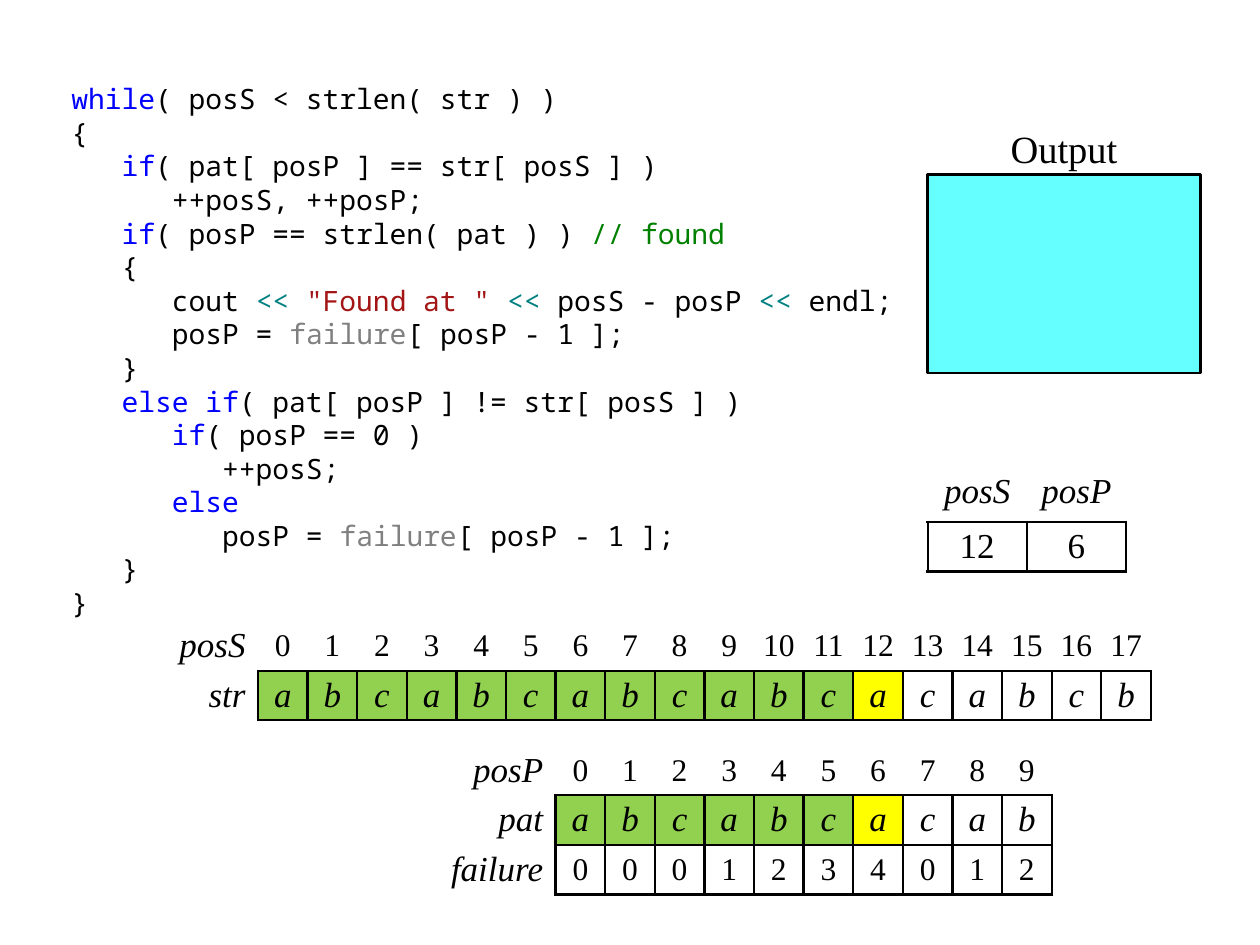
from dataclasses import dataclass

from lxml import etree
from pptx import Presentation
from pptx.dml.color import RGBColor
from pptx.enum.shapes import MSO_SHAPE
from pptx.enum.text import MSO_ANCHOR, MSO_AUTO_SIZE, PP_ALIGN
from pptx.oxml.ns import qn
from pptx.util import Pt

RECT = MSO_SHAPE.RECTANGLE
TOP, MIDDLE = MSO_ANCHOR.TOP, MSO_ANCHOR.MIDDLE
NO_FIT = MSO_AUTO_SIZE.NONE
LEFT, CENTER, RIGHT = PP_ALIGN.LEFT, PP_ALIGN.CENTER, PP_ALIGN.RIGHT

PX = 3600
CELL = 100
SERIF, MONO = "Times New Roman", "Noto Sans Mono"
PLAIN_STYLE = "{2D5ABB26-0587-4C30-8999-92F81FD0307C}"

BLACK, GREEN, YELLOW, CYAN = "000000", "92D050", "FFFF00", "66FFFF"
KEYWORD, COMMENT, OPERATOR = "0000FF", "008000", "008080"
STRING, PARAM = "A31515", "808080"

SHIFT = ("<< ", OPERATOR)
FAILURE = [("failure", PARAM), ("[ posP - 1 ];", BLACK)]
CODE = [
    [("while", KEYWORD), ("( posS < strlen( str ) )", BLACK)],
    [("{", BLACK)],
    [("   ", BLACK), ("if", KEYWORD), ("( pat[ posP ] == str[ posS ] )", BLACK)],
    [("      ++posS, ++posP;", BLACK)],
    [("   ", BLACK), ("if", KEYWORD), ("( posP == strlen( pat ) ) ", BLACK),
     ("// found", COMMENT)],
    [("   {", BLACK)],
    [("      cout ", BLACK), SHIFT, ('"Found at " ', STRING), SHIFT,
     ("posS - posP ", BLACK), SHIFT, ("endl;", BLACK)],
    [("      posP = ", BLACK), *FAILURE],
    [("   }", BLACK)],
    [("   ", BLACK), ("else if", KEYWORD), ("( pat[ posP ] != str[ posS ] )", BLACK)],
    [("      ", BLACK), ("if", KEYWORD), ("( posP == 0 )", BLACK)],
    [("         ++posS;", BLACK)],
    [("      ", BLACK), ("else", KEYWORD)],
    [("         posP = ", BLACK), *FAILURE],
    [("   }", BLACK)],
    [("}", BLACK)],
]


@dataclass
class Cell:
    text: str
    size: int = 20
    italic: bool = True
    align: PP_ALIGN = CENTER
    anchor: MSO_ANCHOR = MIDDLE
    inset: int = 10
    fill: str | None = None
    border: bool = False


@dataclass
class Grid:
    left: int
    top: int
    widths: list[int]
    rows: list[list[Cell]]


def px(n: int) -> int:
    return n * PX


def rgb(color: str) -> RGBColor:
    return RGBColor.from_string(color)


def add_run(p, text: str, font: str, size: int, color: str = BLACK,
            italic: bool = False) -> None:
    r = p.add_run()
    r.text = text
    r.font.name = font
    r.font.size = Pt(size)
    r.font.italic = italic
    r.font.color.rgb = rgb(color)


def add_borders(cell) -> None:
    tc_pr = cell._tc.get_or_add_tcPr()
    for side in "LRTB":
        ln = etree.SubElement(tc_pr, qn(f"a:ln{side}"), w=str(Pt(1.5)))
        fill = etree.SubElement(ln, qn("a:solidFill"))
        etree.SubElement(fill, qn("a:srgbClr"), val=BLACK)


def draw_cell(cell, data: Cell) -> None:
    cell.margin_left = cell.margin_right = px(data.inset)
    cell.margin_top = cell.margin_bottom = 0
    cell.vertical_anchor = data.anchor
    if data.border:
        add_borders(cell)
    if data.fill:
        cell.fill.solid()
        cell.fill.fore_color.rgb = rgb(data.fill)
    else:
        cell.fill.background()
    p = cell.text_frame.paragraphs[0]
    p.alignment = data.align
    add_run(p, data.text, SERIF, data.size, italic=data.italic)


def draw_grid(slide, grid: Grid) -> None:
    frame = slide.shapes.add_table(
        len(grid.rows), len(grid.widths), px(grid.left), px(grid.top),
        px(sum(grid.widths)), px(CELL * len(grid.rows)))
    frame.element.xpath(".//a:tableStyleId")[0].text = PLAIN_STYLE
    table = frame.table
    table.first_row = table.horz_banding = False
    for column, width in zip(table.columns, grid.widths):
        column.width = px(width)
    for i, row in enumerate(grid.rows):
        table.rows[i].height = px(CELL)
        for j, data in enumerate(row):
            draw_cell(table.cell(i, j), data)


def label(text: str) -> Cell:
    return Cell(text, align=RIGHT, inset=25)


def index_row(name: str, count: int) -> list[Cell]:
    return [label(name)] + [Cell(str(i), 18, False) for i in range(count)]


def letter_row(name: str, letters: str, current: int) -> list[Cell]:
    fills = [GREEN] * current + [YELLOW] + [None] * (len(letters) - current - 1)
    return [label(name)] + [
        Cell(c, fill=fill, border=True) for c, fill in zip(letters, fills)]


def number_row(name: str, digits: str) -> list[Cell]:
    return [label(name)] + [Cell(d, 18, False, border=True) for d in digits]


def draw_code(body) -> None:
    body.left, body.top, body.width, body.height = map(px, (119, 152, 1700, 1100))
    tf = body.text_frame
    tf.word_wrap = True
    tf.auto_size = NO_FIT
    tf.vertical_anchor = TOP
    tf.margin_left, tf.margin_right = px(25), px(10)
    tf.margin_top = tf.margin_bottom = px(13)
    for i, line in enumerate(CODE):
        p = tf.add_paragraph() if i else tf.paragraphs[0]
        p_pr = p._p.get_or_add_pPr()
        p_pr.set("marL", "0")
        p_pr.set("indent", "0")
        etree.SubElement(p_pr, qn("a:buNone"))
        p.alignment = LEFT
        p.line_spacing = Pt(19.2)
        p.space_before = p.space_after = Pt(0)
        for text, color in line:
            add_run(p, text, MONO, 16, color)


def draw_output(slide) -> None:
    sp = slide.shapes.add_shape(RECT, px(1870), px(352), px(550), px(400))
    sp.shadow.inherit = False
    sp.fill.solid()
    sp.fill.fore_color.rgb = rgb(CYAN)
    sp.line.color.rgb = rgb(BLACK)
    sp.line.width = Pt(1.5)
    tf = slide.shapes.add_textbox(px(1970), px(252), px(350), px(100)).text_frame
    tf.word_wrap = True
    tf.margin_top = 0
    p = tf.paragraphs[0]
    p.alignment = CENTER
    add_run(p, "Output", SERIF, 22)


def main() -> None:
    text, pattern = "abcabcabcabcacabcb", "abcabcacab"
    pos_s, pos_p = 12, 6
    grids = [
        Grid(320, 1252, [200] + [CELL] * len(text),
             [index_row("posS", len(text)), letter_row("str", text, pos_s)]),
        Grid(1870, 952, [200, 200],
             [[Cell(name, anchor=TOP, inset=0) for name in ("posS", "posP")],
              [Cell(str(n), italic=False, border=True) for n in (pos_s, pos_p)]]),
        Grid(870, 1503, [250] + [CELL] * len(pattern),
             [index_row("posP", len(pattern)), letter_row("pat", pattern, pos_p),
              number_row("failure", "0001234012")]),
    ]
    prs = Presentation()
    prs.slide_width, prs.slide_height = px(2540), px(1905)
    s = prs.slides.add_slide(prs.slide_layouts[1])
    title = s.shapes.title.element
    title.getparent().remove(title)
    draw_code(s.placeholders[1])
    for grid in grids:
        draw_grid(s, grid)
    draw_output(s)
    prs.save("out.pptx")


if __name__ == "__main__":
    main()
